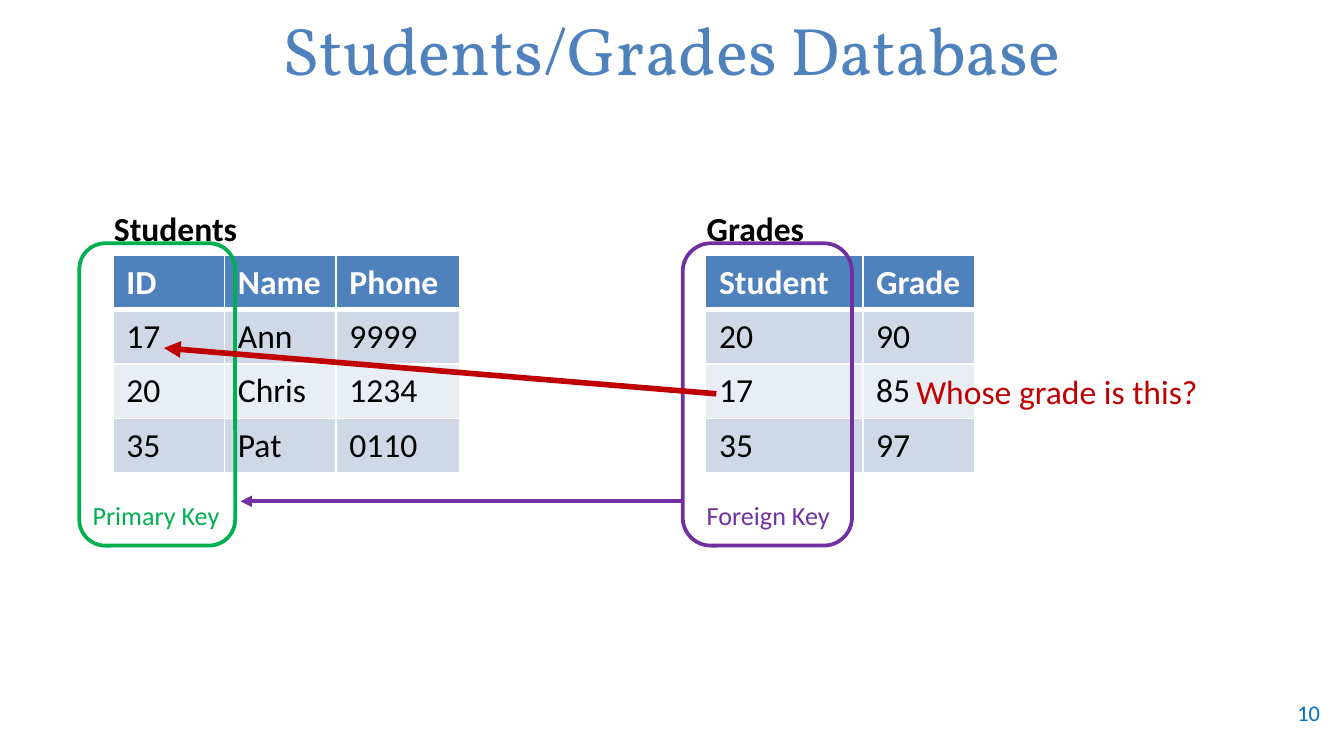
import pptx
import pptx.dml.color
import pptx.enum.shapes
import pptx.enum.text
import pptx.oxml
import pptx.oxml.ns
import pptx.util

Inches = pptx.util.Inches
Pt = pptx.util.Pt
RGB = pptx.dml.color.RGBColor
ALIGN = pptx.enum.text.PP_ALIGN
ANCHOR = pptx.enum.text.MSO_ANCHOR

BLUE = RGB(0x4F, 0x81, 0xBD)
PALE = RGB(0xE9, 0xED, 0xF4)
BAND = RGB(0xD0, 0xD8, 0xE8)
WHITE = RGB(0xFF, 0xFF, 0xFF)
BLACK = RGB(0x00, 0x00, 0x00)
GREEN = RGB(0x00, 0xB0, 0x50)
PURPLE = RGB(0x70, 0x30, 0xA0)
RED = RGB(0xC0, 0x00, 0x00)
AZURE = RGB(0x00, 0x70, 0xC0)

TALL = 1.62


def style(frame, size, color, bold=False, font="Calibri", align=ALIGN.LEFT):
    """Format every run of a text frame."""
    for para in frame.paragraphs:
        para.alignment = align
        for run in para.runs:
            run.font.size = Pt(size)
            run.font.name = font
            run.font.bold = bold
            run.font.color.rgb = color


def add_text(slide, box, text, size, color, bold=False, align=ALIGN.LEFT):
    """Add a text box that fills the given box."""
    frame = slide.shapes.add_textbox(*map(Inches, box)).text_frame
    frame.word_wrap = True
    frame.text = text
    style(frame, size, color, bold, align=align)
    return frame


def add_title(slide, box, text):
    """Place and format the title placeholder."""
    title = slide.shapes.title
    title.left, title.top, title.width, title.height = map(Inches, box)
    frame = title.text_frame
    frame.text = text
    frame.vertical_anchor = ANCHOR.MIDDLE
    style(frame, 36, BLUE, font="Vollkorn", align=ALIGN.CENTER)


def add_line(cell, side, width):
    """Draw one white border of a table cell."""
    xml = (
        f'<a:ln{side} {pptx.oxml.ns.nsdecls("a")} w="{Pt(width)}">'
        f'<a:solidFill><a:srgbClr val="{WHITE}"/></a:solidFill></a:ln{side}>'
    )
    cell._tc.get_or_add_tcPr().append(pptx.oxml.parse_xml(xml))


def add_grid(slide, left, top, widths, rows):
    """Add a banded table with a bold header row."""
    box = (left, top, sum(widths), TALL)
    frame = slide.shapes.add_table(len(rows), len(widths), *map(Inches, box))
    grid = frame.table
    for col, width in zip(grid.columns, widths):
        col.width = Inches(width)
    for i, row in enumerate(rows):
        grid.rows[i].height = Inches(TALL / len(rows))
        head = i == 0
        for j, text in enumerate(row):
            cell = grid.cell(i, j)
            for side in "LRTB":
                thick = (i, side) in ((0, "B"), (1, "T"))
                add_line(cell, side, 3 if thick else 1)
            cell.fill.solid()
            cell.fill.fore_color.rgb = BLUE if head else BAND if i % 2 else PALE
            cell.text = text
            style(cell.text_frame, 18, WHITE if head else BLACK, head)


def add_data(slide, left, top, name, widths, rows):
    """Add a table with its name above it."""
    add_grid(slide, left, top, widths, rows)
    add_text(slide, (left - 0.09, top - 0.4, 2, 0.4), name, 18, BLACK, True)


def add_key(slide, box, text, inset, color):
    """Add a rounded outline with the key's name near its foot."""
    left, top, width, height = box
    label = (left + inset, top + height - 0.39, 1.25, 0.34)
    add_text(slide, label, text, 14, color)
    frame = slide.shapes.add_shape(
        pptx.enum.shapes.MSO_SHAPE.ROUNDED_RECTANGLE, *map(Inches, box)
    )
    frame.shadow.inherit = False
    frame.fill.background()
    frame.line.color.rgb = color
    frame.line.width = Pt(2)


def add_arrow(slide, start, end, color, width):
    """Add a straight arrow between two points."""
    arrow = slide.shapes.add_connector(
        pptx.enum.shapes.MSO_CONNECTOR.STRAIGHT, *map(Inches, start + end)
    )
    arrow.line.color.rgb = color
    arrow.line.width = Pt(width)
    space = pptx.oxml.ns.nsdecls("a")
    props = arrow._element.spPr
    props.find(pptx.oxml.ns.qn("a:ln")).append(
        pptx.oxml.parse_xml(f'<a:tailEnd {space} type="triangle"/>')
    )
    props.append(pptx.oxml.parse_xml(f"<a:effectLst {space}/>"))


def main():
    """Build the slide and save it."""
    deck = pptx.Presentation()
    deck.slide_width = Inches(10)
    deck.slide_height = deck.slide_width * 9 // 16
    slide = deck.slides.add_slide(deck.slide_layouts[5])

    add_title(slide, (0.08, 0.03, 9.83, 0.67), "Students/Grades Database")
    page = add_text(
        slide, (9.25, 5.15, 0.67, 0.3), "10", 12, AZURE, align=ALIGN.RIGHT
    )
    page.vertical_anchor = ANCHOR.MIDDLE

    add_data(slide, 0.84, 1.9, "Students", (0.83, 0.83, 0.92), (
        ("ID", "Name", "Phone"),
        ("17", "Ann", "9999"),
        ("20", "Chris", "1234"),
        ("35", "Pat", "0110"),
    ))
    add_data(slide, 5.25, 1.9, "Grades", (1.17, 0.83), (
        ("Student", "Grade"),
        ("20", "90"),
        ("17", "85"),
        ("35", "97"),
    ))
    add_key(slide, (0.59, 1.81, 1.16, 2.25), "Primary Key", 0, GREEN)
    add_key(slide, (5.08, 1.81, 1.26, 2.25), "Foreign Key", 0.08, PURPLE)
    add_arrow(slide, (5.08, 3.73), (1.79, 3.73), PURPLE, 2)
    add_text(slide, (6.72, 2.71, 2.32, 0.4), "Whose grade is this?", 18, RED)
    add_arrow(slide, (5.33, 2.93), (1.22, 2.59), RED, 3)

    deck.save("out.pptx")


if __name__ == "__main__":
    main()
